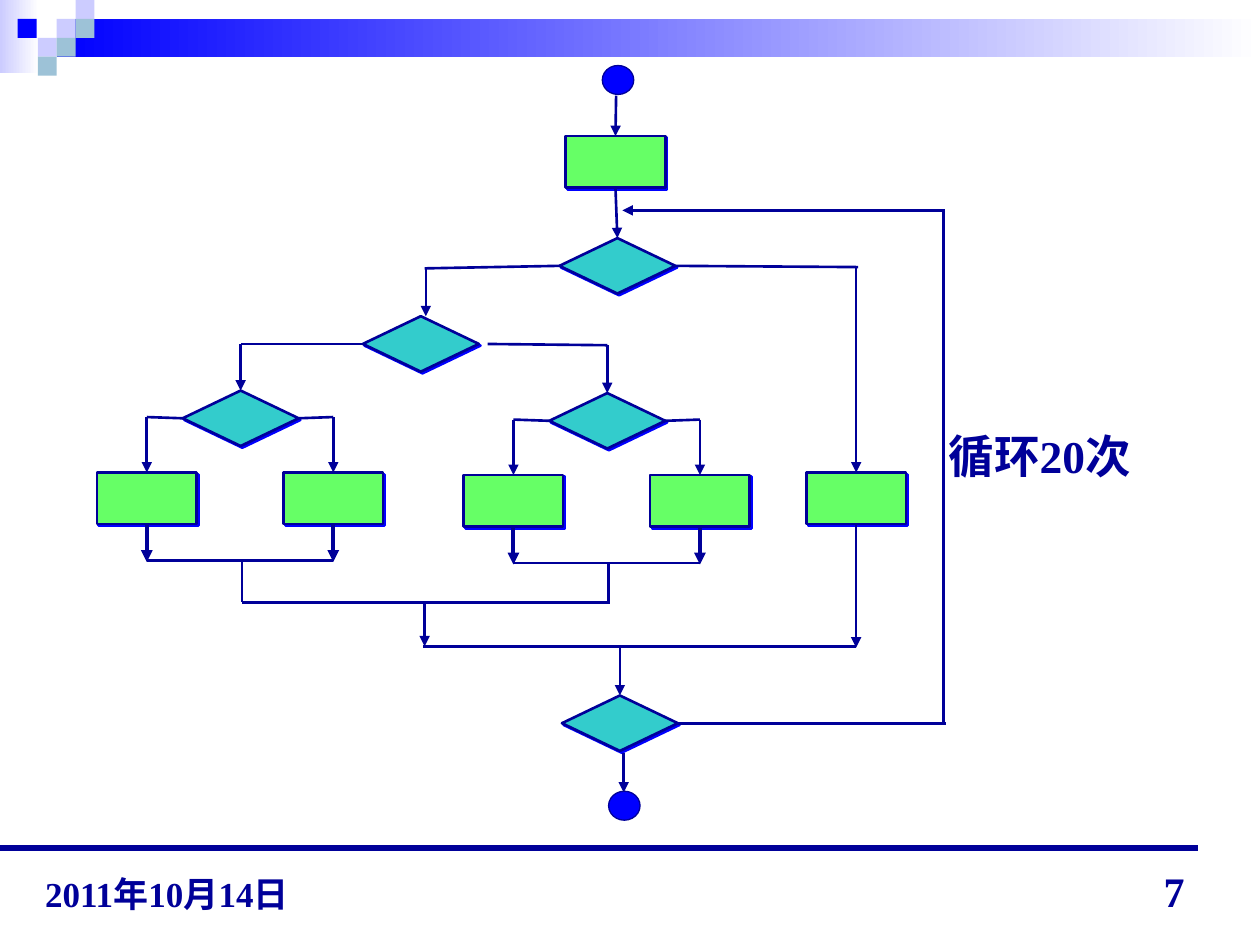
from lxml.etree import SubElement
from pptx import Presentation
from pptx.dml.color import RGBColor
from pptx.enum.shapes import MSO_CONNECTOR, MSO_SHAPE as Shape
from pptx.enum.text import MSO_ANCHOR as Anchor, PP_ALIGN as Align
from pptx.oxml.ns import qn
from pptx.util import Inches, Pt

NAVY = RGBColor(0x00, 0x00, 0x99)
BLUE = RGBColor(0x00, 0x00, 0xFF)
WHITE = RGBColor(0xFF, 0xFF, 0xFF)
LAVENDER = RGBColor(0xCC, 0xCC, 0xFF)
STEEL = RGBColor(0x9D, 0xC2, 0xD7)
TEAL = RGBColor(0x33, 0xCC, 0xCC)
GREEN = RGBColor(0x66, 0xFF, 0x66)

COLUMNS, ROWS = 100, 75
TOP, LEFT, BOTTOM, RIGHT = range(4)


def write_text(frame, text, size=20, color=NAVY, font="Times New Roman",
               align=Align.LEFT, anchor=Anchor.TOP, wrap=True):
    frame.word_wrap = wrap
    frame.vertical_anchor = anchor
    paragraph = frame.paragraphs[0]
    paragraph.alignment = align
    run = paragraph.add_run()
    run.text = text
    run.font.name = font
    run.font.size = Pt(size)
    run.font.bold = True
    run.font.color.rgb = color


class FlowSlide:
    def __init__(self, presentation):
        self.slide = presentation.slides.add_slide(presentation.slide_layouts[6])
        self.column = presentation.slide_width / COLUMNS
        self.row = presentation.slide_height / ROWS

    def place(self, x, y):
        return round(x * self.column), round(y * self.row)

    def shape(self, kind, x, y, width, height, fill=None, line=None, fade=None):
        shape = self.slide.shapes.add_shape(
            kind, *self.place(x, y), *self.place(width, height))
        shape.shadow.inherit = False
        if fade:
            shape.fill.gradient()
            shape.fill.gradient_angle = 180
            for stop, color in zip(shape.fill.gradient_stops, (WHITE, fade)):
                stop.color.rgb = color
        else:
            shape.fill.solid()
            shape.fill.fore_color.rgb = fill
        if line:
            shape.line.color.rgb = NAVY
            shape.line.width = Pt(line)
        else:
            shape.line.fill.background()
        return shape

    def raised(self, *args):
        shape = self.shape(*args, line=1.5)
        effects = shape._element.spPr.find(qn("a:effectLst"))
        shadow = SubElement(effects, qn("a:outerShdw"), dist=str(Pt(1.4)),
                            dir="2700000", algn="ctr", rotWithShape="0")
        SubElement(shadow, qn("a:srgbClr"), val=str(BLUE))
        return shape

    def decision(self, x, y):
        return self.raised(Shape.DIAMOND, x, y, 9.2, 4.4, TEAL)

    def step(self, x, y):
        return self.raised(Shape.RECTANGLE, x, y, 7.9, 4.1, GREEN)

    def terminal(self, x, y):
        return self.shape(Shape.OVAL, x, y, 2.5, 2.3, BLUE, line=0.75)

    def line(self, start, end, arrow=False, width=1.5):
        points = [(0, 0) if hasattr(point[0], "shape_id") else self.place(*point)
                  for point in (start, end)]
        connector = self.slide.shapes.add_connector(
            MSO_CONNECTOR.STRAIGHT, *points[0], *points[1])
        if hasattr(start[0], "shape_id"):
            connector.begin_connect(*start)
        if hasattr(end[0], "shape_id"):
            connector.end_connect(*end)
        connector.line.color.rgb = NAVY
        connector.line.width = Pt(width)
        properties = connector._element.spPr
        if arrow:
            SubElement(properties.find(qn("a:ln")), qn("a:tailEnd"), type="triangle")
        SubElement(properties, qn("a:effectLst"))

    def arrow(self, start, end, width=1.5):
        self.line(start, end, True, width)

    def text(self, text, x, y, width, height, **style):
        box = self.slide.shapes.add_textbox(
            *self.place(x, y), *self.place(width, height))
        write_text(box.text_frame, text, **style)

    def branch(self, x, y):
        decision = self.decision(x, y)
        sides = ((-6.8, LEFT), (8, RIGHT))
        centers = [x + offset + 3.95 for offset, side in sides]
        for center, (offset, side) in zip(centers, sides):
            step = self.step(x + offset, y + 6.5)
            self.line((decision, side), (center, y + 2.1))
            self.arrow((center, y + 2.1), (step, TOP))
            self.arrow((step, BOTTOM), (center, y + 13.6), width=2.25)
        self.line((centers[0], y + 13.5), (centers[1], y + 13.5))
        self.line((x + 4.7, y + 13.5), (x + 4.7, 47.8))
        return decision


def draw_frame(flow):
    flow.shape(Shape.RECTANGLE, 0, 0, 3.1, 5.8, fade=LAVENDER)
    flow.shape(Shape.RECTANGLE, 4.5, 1.5, 95.5, 3, fade=BLUE)
    tiles = ((4.5, 1.5, LAVENDER), (6, 0, LAVENDER), (6, 1.5, STEEL),
             (3, 3, LAVENDER), (1.4, 1.5, BLUE), (4.5, 3, STEEL), (3, 4.5, STEEL))
    for x, y, color in tiles:
        flow.shape(Shape.RECTANGLE, x, y, 1.5, 1.5, color)
    flow.line((0, 67.3), (95.1, 67.3), width=3.25)
    flow.text("2011年10月14日", 2.6, 67.9, 25.7, 5.2, anchor=Anchor.BOTTOM)
    flow.text("7", 71.7, 68.2, 23.3, 5, size=24, align=Align.RIGHT,
              anchor=Anchor.BOTTOM)


def draw_flow(flow):
    first_step = flow.step(44.9, 10.8)
    root = flow.decision(44.4, 18.9)
    second = flow.decision(28.8, 25.1)
    repeat = flow.decision(44.6, 55.2)
    left_branch = flow.branch(14.5, 31)
    right_branch = flow.branch(43.6, 31.2)
    other_step = flow.step(64, 37.5)

    flow.arrow((48.9, 7.6), (first_step, TOP))
    flow.arrow((first_step, BOTTOM), (root, TOP))
    flow.line((root, LEFT), (33.7, 21.3))
    flow.arrow((33.8, 21.3), (33.8, 25.1))
    flow.line((root, RIGHT), (68.1, 21.2))
    flow.arrow((67.95, 21.2), (other_step, TOP))
    flow.line((second, LEFT), (19.1, 27.3))
    flow.arrow((19.1, 27.3), (left_branch, TOP))
    flow.line((38.7, 27.3), (48.2, 27.4))
    flow.arrow((48.2, 27.4), (right_branch, TOP))

    flow.line((19.2, 47.8), (48.4, 47.8))
    flow.arrow((33.7, 47.8), (33.7, 51.3))
    flow.arrow((other_step, BOTTOM), (67.95, 51.4))
    flow.line((33.6, 51.3), (67.95, 51.3))
    flow.arrow((49.2, 51.2), (repeat, TOP))
    flow.arrow((49.5, 59.8), (49.5, 62.9))
    flow.line((repeat, RIGHT), (75.1, 57.4))
    flow.line((74.9, 57.4), (74.9, 16.6))
    flow.arrow((75, 16.7), (49.4, 16.7))

    flow.text("循环20次", 74.3, 33.5, 18.2, 5.4, size=26, wrap=False)
    flow.terminal(48.3, 62.8)
    flow.terminal(47.8, 5.2)


def main():
    presentation = Presentation()
    presentation.slide_width = Inches(10)
    presentation.slide_height = Inches(7.5)
    flow = FlowSlide(presentation)
    draw_frame(flow)
    draw_flow(flow)
    presentation.save("out.pptx")


if __name__ == "__main__":
    main()
